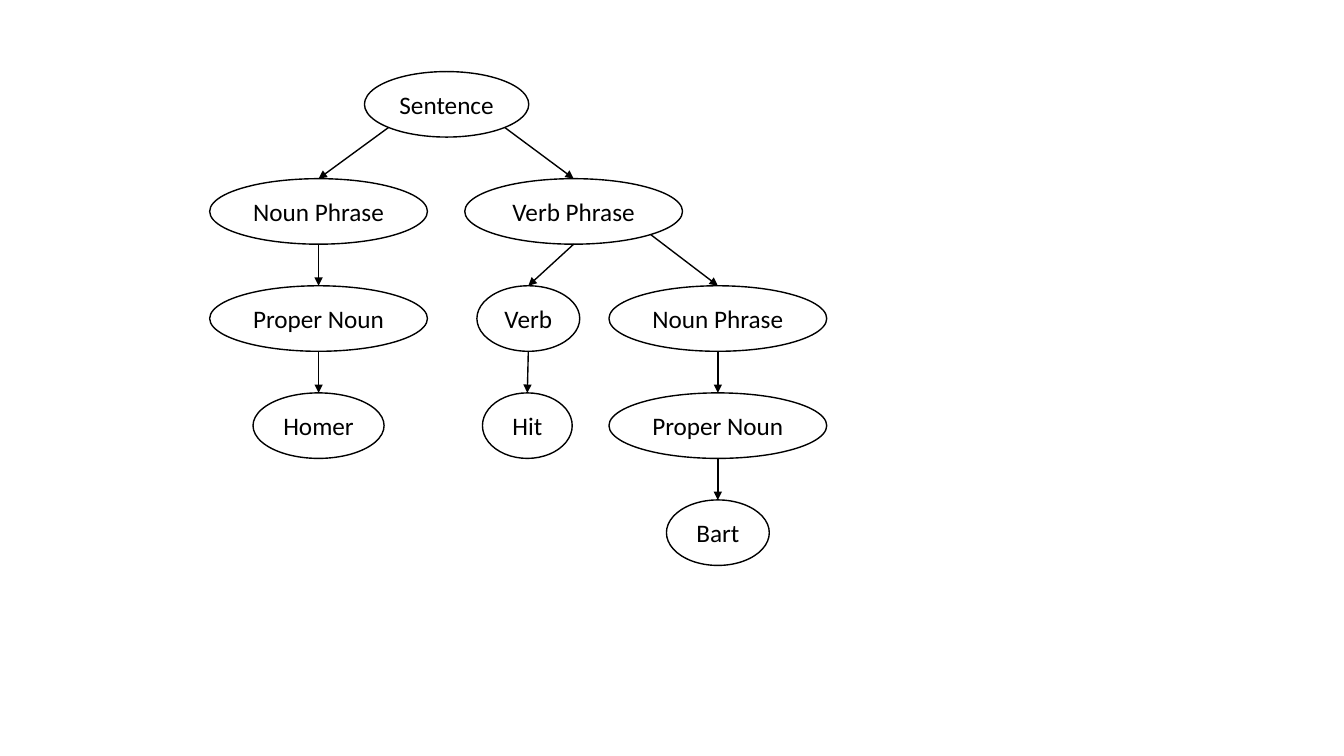
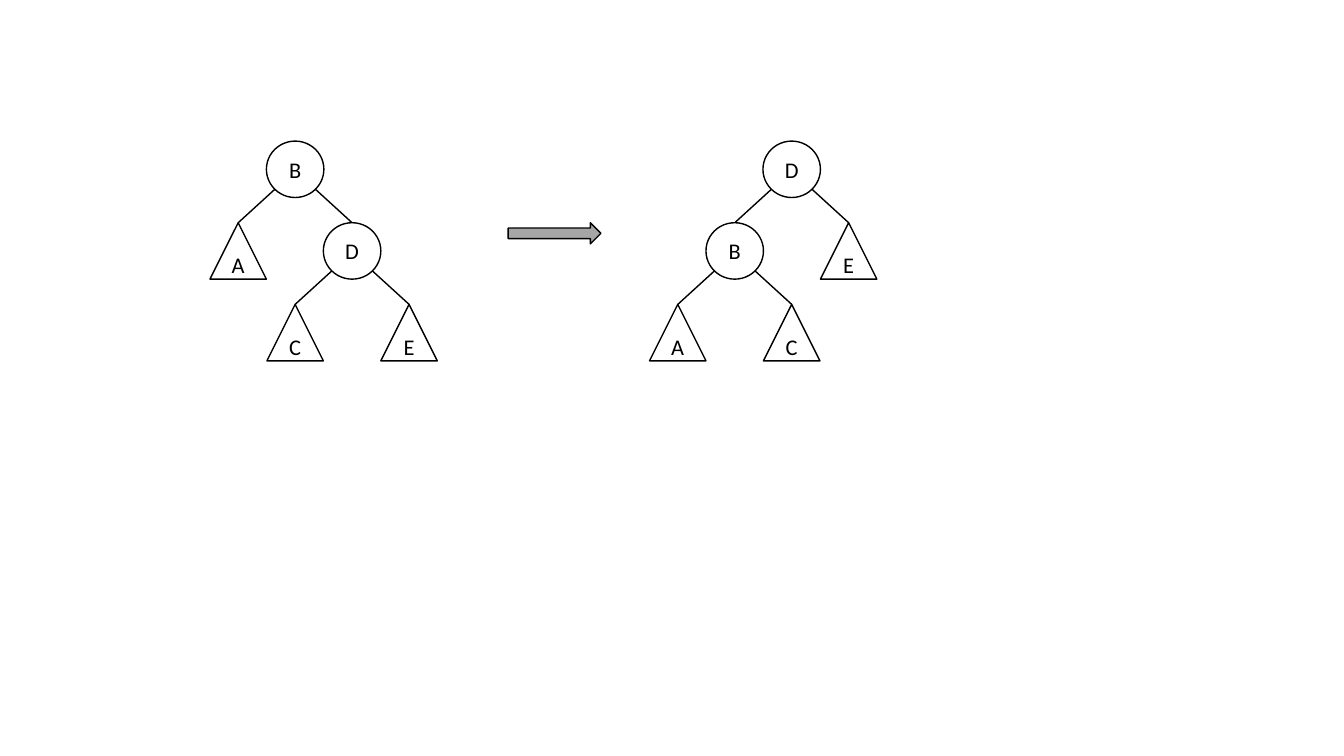
from dataclasses import dataclass
from math import sqrt

from lxml import etree
from pptx import Presentation
from pptx.dml.color import RGBColor
from pptx.enum.shapes import MSO_CONNECTOR, MSO_SHAPE
from pptx.enum.text import MSO_ANCHOR, PP_ALIGN
from pptx.oxml.ns import qn
from pptx.util import Inches, Pt

OVAL = MSO_SHAPE.OVAL
TRIANGLE = MSO_SHAPE.ISOSCELES_TRIANGLE
RIGHT_ARROW = MSO_SHAPE.RIGHT_ARROW
STRAIGHT = MSO_CONNECTOR.STRAIGHT
CENTER = PP_ALIGN.CENTER
MIDDLE = MSO_ANCHOR.MIDDLE
BLANK_LAYOUT = 6
LEFT, DOWN, RIGHT = -1, 0, 1


@dataclass(frozen=True)
class Theme:
    """Colours, type sizes and line width shared by the slides."""
    ink: RGBColor = RGBColor(0x00, 0x00, 0x00)
    paper: RGBColor = RGBColor(0xFF, 0xFF, 0xFF)
    arrow: RGBColor = RGBColor(0xA6, 0xA6, 0xA6)
    font: str = "Calibri"
    phrase_size: int = 18
    letter_size: int = 16
    line_width: int = 1


@dataclass(frozen=True)
class Box:
    """A rectangle in inches."""
    left: float
    top: float
    width: float
    height: float


@dataclass(frozen=True)
class Node:
    """A tree node: centre from the tree's left edge, and the side its edge leaves the parent."""
    label: str
    center: float
    width: float
    exit: int = DOWN
    children: tuple = ()
    shape: MSO_SHAPE = OVAL


@dataclass(frozen=True)
class TreeStyle:
    """Node height, type size and edge heads of one kind of tree."""
    node_height: float
    text_size: int
    arrowheads: bool


THEME = Theme()
PARSE_STYLE = TreeStyle(0.65, THEME.phrase_size, True)
SEARCH_STYLE = TreeStyle(0.56, THEME.letter_size, False)


def add_outlined_shape(page, kind, box, fill):
    """Add a flat preset shape with the shared outline."""
    shape = page.shapes.add_shape(
        kind, Inches(box.left), Inches(box.top), Inches(box.width), Inches(box.height))
    shape.shadow.inherit = False
    shape.fill.solid()
    shape.fill.fore_color.rgb = fill
    shape.line.color.rgb = THEME.ink
    shape.line.width = Pt(THEME.line_width)
    return shape


def add_label(shape, text, size):
    """Write one centred line inside a shape."""
    frame = shape.text_frame
    frame.word_wrap = False
    frame.vertical_anchor = MIDDLE
    para = frame.paragraphs[0]
    para.text = text
    para.alignment = CENTER
    para.font.name = THEME.font
    para.font.size = Pt(size)
    para.font.color.rgb = THEME.ink


def add_edge(page, start, end, arrowhead):
    """Draw a straight edge, with an arrowhead at its end if asked."""
    edge = page.shapes.add_connector(STRAIGHT, *(Inches(value) for value in start + end))
    edge.line.color.rgb = THEME.ink
    edge.line.width = Pt(THEME.line_width)
    properties = edge.element.spPr
    if arrowhead:
        etree.SubElement(properties.find(qn("a:ln")), qn("a:tailEnd"), type="triangle")
    etree.SubElement(properties, qn("a:effectLst"))


def exit_point(box, side):
    """Find the point on an ellipse's lower rim at its left, bottom or right."""
    scale = 1 / sqrt(2) if side else 1
    return (box.left + box.width / 2 * (1 + side * scale),
            box.top + box.height / 2 * (1 + scale))


def count_levels(node):
    """Count the levels of a tree."""
    return 1 + max(map(count_levels, node.children), default=0)


def draw_tree(page, box, root, style):
    """Spread the levels of a tree evenly over a box and join its nodes."""
    pitch = (box.height - style.node_height) / (count_levels(root) - 1)

    def draw_node(node, level):
        """Draw one node and everything below it."""
        center = box.left + node.center
        place = Box(center - node.width / 2, box.top + level * pitch,
                    node.width, style.node_height)
        shape = add_outlined_shape(page, node.shape, place, THEME.paper)
        add_label(shape, node.label, style.text_size)
        for child in node.children:
            child_top = (box.left + child.center, box.top + (level + 1) * pitch)
            add_edge(page, exit_point(place, child.exit), child_top, style.arrowheads)
            draw_node(child, level + 1)

    draw_node(root, 0)


def sentence_slide(deck):
    """Build the slide with the parse tree of a sentence."""
    page = deck.slides.add_slide(deck.slide_layouts[BLANK_LAYOUT])
    wide = 2.16
    subject, verb, object_center = 1.08, 3.16, 5.04
    root = Node("Sentence", 2.35, 1.63, children=(
        Node("Noun Phrase", subject, wide, LEFT, (
            Node("Proper Noun", subject, wide, DOWN, (
                Node("Homer", subject, 1.3),)),)),
        Node("Verb Phrase", 3.61, wide, RIGHT, (
            Node("Verb", verb, 1.02, DOWN, (
                Node("Hit", verb - 0.01, 0.89),)),
            Node("Noun Phrase", object_center, wide, RIGHT, (
                Node("Proper Noun", object_center, wide, DOWN, (
                    Node("Bart", object_center, 1.02),)),)))),
    ))
    draw_tree(page, Box(2.08, 0.71, 6.12, 4.9), root, PARSE_STYLE)


def rotation_slide(deck):
    """Build the slide with a tree before and after a left rotation."""
    page = deck.slides.add_slide(deck.slide_layouts[BLANK_LAYOUT])
    before = Box(2.08, 1.4, 2.26, 2.18)
    after = Box(6.44, before.top, before.width, before.height)
    column = before.width / 4

    def inner(label, index, exit_side, *children):
        """Describe a round node in a column."""
        return Node(label, (index + 0.5) * column, 0.57, exit_side, children)

    def subtree(label, index, exit_side):
        """Describe a triangular subtree in a column."""
        return Node(label, (index + 0.5) * column, 0.56, exit_side, shape=TRIANGLE)

    draw_tree(page, before, inner(
        "B", 1, DOWN,
        subtree("A", 0, LEFT),
        inner("D", 2, RIGHT, subtree("C", 1, LEFT), subtree("E", 3, RIGHT))), SEARCH_STYLE)
    draw_tree(page, after, inner(
        "D", 2, DOWN,
        inner("B", 1, LEFT, subtree("A", 0, LEFT), subtree("C", 2, RIGHT)),
        subtree("E", 3, RIGHT)), SEARCH_STYLE)
    add_outlined_shape(page, RIGHT_ARROW, Box(5.04, 2.21, 0.92, 0.21), THEME.arrow)


def main():
    """Build and save the deck."""
    deck = Presentation()
    deck.slide_width = Inches(13.33)
    deck.slide_height = Inches(7.5)
    sentence_slide(deck)
    rotation_slide(deck)
    deck.save("out.pptx")


if __name__ == "__main__":
    main()
